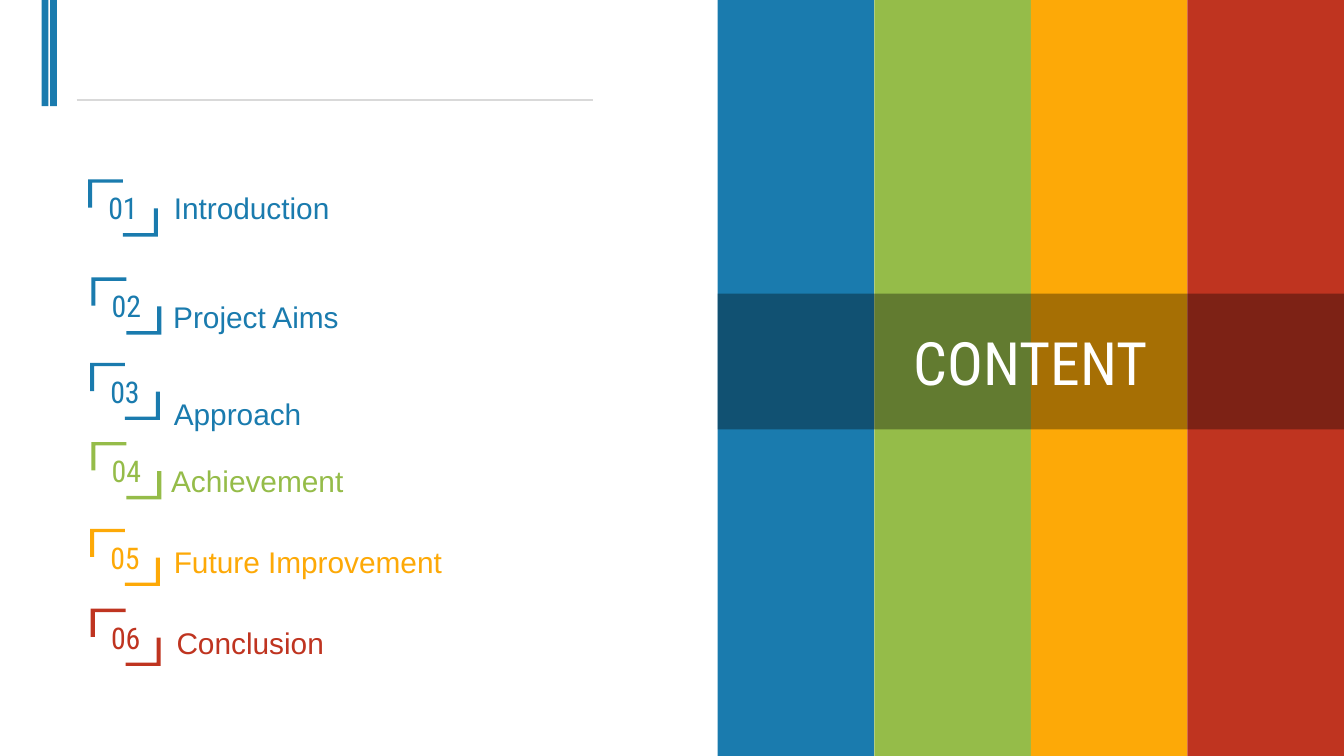
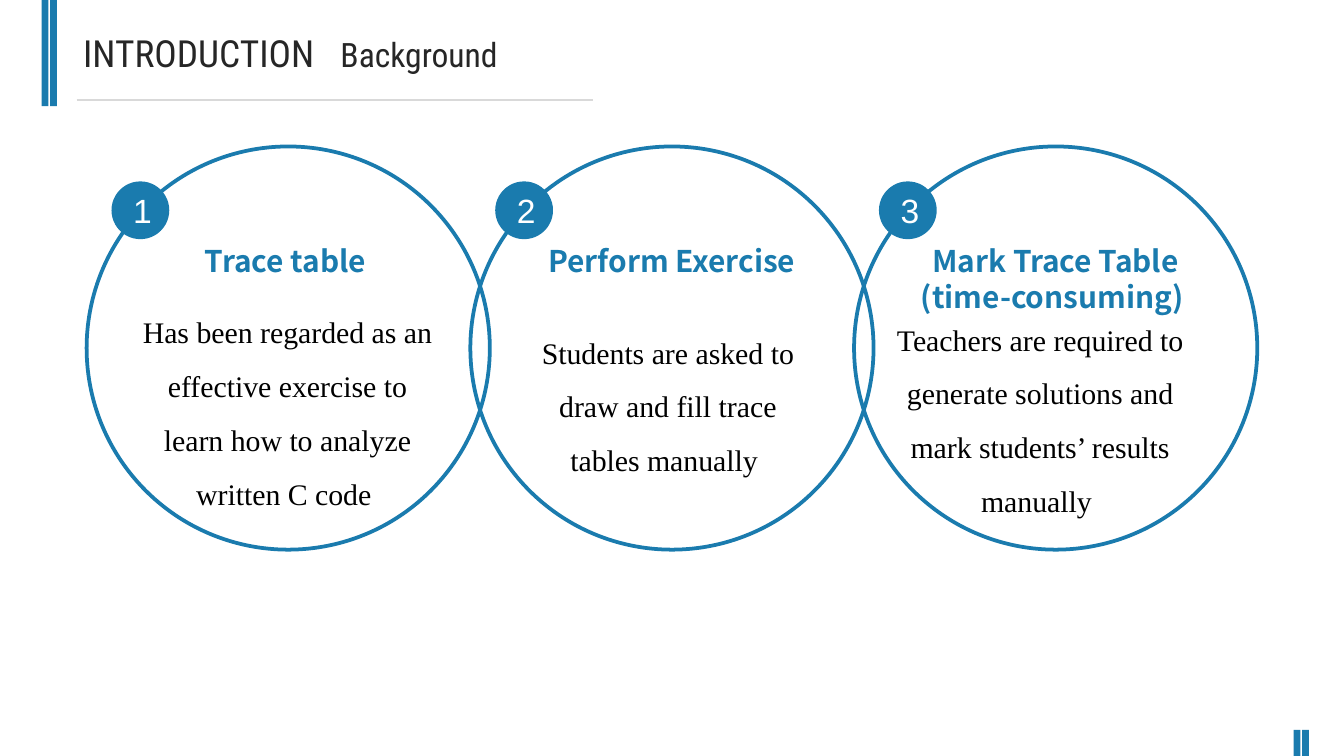
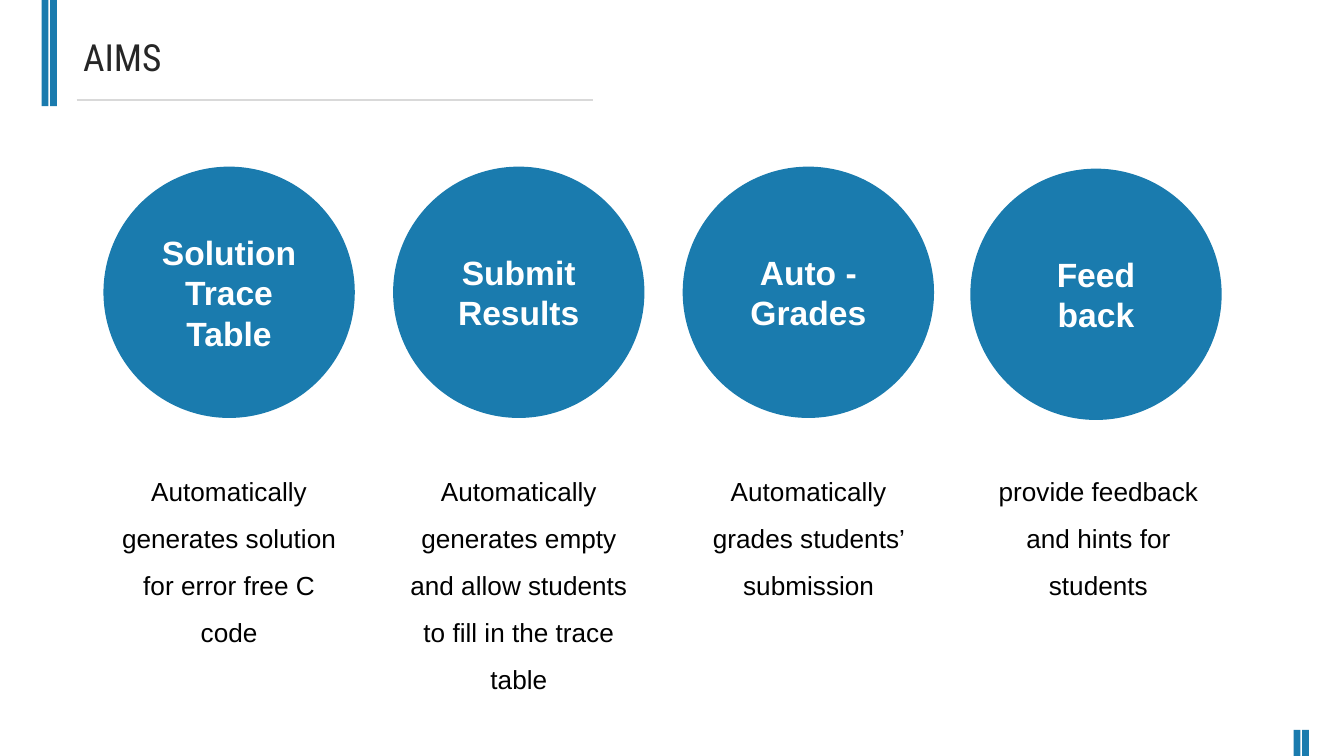
from lxml import etree
from pptx import Presentation
from pptx.dml.color import RGBColor
from pptx.enum.shapes import MSO_CONNECTOR, MSO_SHAPE
from pptx.enum.text import MSO_ANCHOR, MSO_AUTO_SIZE, PP_ALIGN
from pptx.oxml.ns import qn
from pptx.util import Inches, Pt

RECT, OVAL = MSO_SHAPE.RECTANGLE, MSO_SHAPE.OVAL
STRAIGHT = MSO_CONNECTOR.STRAIGHT
LEFT, CENTER = PP_ALIGN.LEFT, PP_ALIGN.CENTER
TOP, MIDDLE = MSO_ANCHOR.TOP, MSO_ANCHOR.MIDDLE
GROW = MSO_AUTO_SIZE.SHAPE_TO_FIT_TEXT

COLUMNS, ROWS = 100, 56.25
BLUE, GREEN, AMBER, RED = "1A7BAE", "95BC49", "FDA907", "BF3420"
WHITE, BLACK, INK, RULE = "FFFFFF", "000000", "262626", "D9D9D9"
SANS, SERIF, HEADING, CONDENSED = "Arial", "Times New Roman", "Noto Sans CJK SC", "Roboto Condensed"


def grid(units):
    return Inches(units / 10)


def rgb(value):
    return RGBColor.from_string(value)


def add_run(paragraph, text, size, font, color, bold=False):
    run = paragraph.add_run()
    run.text = text
    run.font.size = Pt(size)
    run.font.name = font
    run.font.bold = bold
    run.font.color.rgb = rgb(color)


def write(frame, text, size=16, font=SANS, color=BLACK, bold=False,
          align=CENTER, anchor=MIDDLE, spacing=None):
    frame.vertical_anchor = anchor
    for index, line in enumerate(text.split("\n")):
        paragraph = frame.add_paragraph() if index else frame.paragraphs[0]
        paragraph.alignment = align
        if spacing:
            paragraph.line_spacing = spacing
        add_run(paragraph, line, size, font, color, bold)


class Deck:
    def __init__(self):
        self.file = Presentation()
        self.file.slide_width = grid(COLUMNS)
        self.file.slide_height = grid(ROWS)
        self.slide = None

    def new_slide(self, footer=True):
        self.slide = self.file.slides.add_slide(self.file.slide_layouts[6])
        self.double_bar(3.1, 0, 7.9)
        if footer:
            self.double_bar(96.25, 54.3, 1.95)
        self.rule(5.7, 44.1, 7.45)

    def double_bar(self, left, top, height):
        for offset in (0, 0.63):
            self.shape(RECT, left + offset, top, 0.5, height, fill=BLUE)

    def rule(self, left, right, top):
        line = self.slide.shapes.add_connector(STRAIGHT, grid(left), grid(top), grid(right), grid(top))
        line.line.color.rgb = rgb(RULE)
        line.line.width = Pt(0.75)
        etree.SubElement(line.element.spPr, qn("a:effectLst"))

    def paint(self, shape, fill=None, outline=None, opacity=None):
        shape.shadow.inherit = False
        if fill:
            shape.fill.solid()
            shape.fill.fore_color.rgb = rgb(fill)
        else:
            shape.fill.background()
        if outline:
            shape.line.color.rgb = rgb(outline)
            shape.line.width = Pt(2)
        else:
            shape.line.fill.background()
        if opacity:
            tint = shape.element.spPr.find(qn("a:solidFill"))[0]
            etree.SubElement(tint, qn("a:alpha")).set("val", str(opacity * 1000))

    def shape(self, kind, left, top, width, height, text="", fill=None,
              outline=None, opacity=None, **text_format):
        shape = self.slide.shapes.add_shape(kind, grid(left), grid(top), grid(width), grid(height))
        self.paint(shape, fill, outline, opacity)
        if text:
            write(shape.text_frame, text, **text_format)

    def text(self, left, top, width, height, text, wrap=True, **text_format):
        frame = self.slide.shapes.add_textbox(grid(left), grid(top), grid(width), grid(height)).text_frame
        frame.word_wrap = wrap
        frame.auto_size = GROW
        write(frame, text, anchor=TOP, **text_format)
        return frame

    def title(self, top, text, subtitle="", tab=19.15):
        frame = self.text(5.2, top, 42.3, 4.4, text, size=20, font=CONDENSED, color=INK, align=LEFT)
        if subtitle:
            paragraph = frame.paragraphs[0]
            add_run(paragraph, "\t" + subtitle, 18, CONDENSED, INK)
            tabs = etree.SubElement(paragraph._p.get_or_add_pPr(), qn("a:tabLst"))
            etree.SubElement(tabs, qn("a:tab"), pos=str(grid(tab)), algn="l")

    def corner_marker(self, left, top, text, color):
        width, height, arm, leg, across, down = 5.2, 4.25, 2.6, 2.1, 0.3, 0.25
        upper = [(0, 0), (arm, 0), (arm, down), (across, down), (across, leg), (0, leg)]
        lower = [(width - x, height - y) for x, y in upper]
        corners = [[(grid(left + x), grid(top + y)) for x, y in corner] for corner in (upper, lower)]
        builder = self.slide.shapes.build_freeform(*corners[0][0], scale=1.0)
        builder.add_line_segments(corners[0][1:], close=True)
        builder.move_to(*corners[1][0])
        builder.add_line_segments(corners[1][1:], close=True)
        marker = builder.convert_to_shape()
        self.paint(marker, color)
        write(marker.text_frame, text, font=CONDENSED, color=color)


def content_slide(deck):
    deck.new_slide(footer=False)
    chapters = [
        ("Introduction", BLUE, 6.55, 13.35, 11.95, 13.6),
        ("Project Aims", BLUE, 6.8, 20.65, 11.9, 21.7),
        ("Approach", BLUE, 6.7, 27, 11.95, 28.95),
        ("Achievement", GREEN, 6.8, 32.9, 11.75, 33.95),
        ("Future Improvement", AMBER, 6.7, 39.35, 11.95, 40),
        ("Conclusion", RED, 6.75, 45.3, 12.15, 46),
    ]
    for number, (chapter, color, marker_left, marker_top, left, top) in enumerate(chapters, 1):
        deck.text(left, top, 39.8, 3.7, chapter, color=color, align=LEFT)
        deck.corner_marker(marker_left, marker_top, f"{number:02}", color)
    bands_left, band_width = 53.4, 11.65
    for index, color in enumerate((BLUE, GREEN, AMBER, RED)):
        deck.shape(RECT, bands_left + index * band_width, 0, band_width, ROWS, fill=color)
    deck.shape(RECT, bands_left, 21.85, 4 * band_width, 10.1, "CONTENT", fill=BLACK, opacity=34,
               size=32, font=CONDENSED, color=WHITE)


def background_slide(deck):
    deck.new_slide()
    deck.title(1.75, "INTRODUCTION", "Background")
    steps = [
        ("Trace table ", 14, 15, 3.7,
         "Has been regarded as an effective exercise to learn how to analyze written C code ", 9.6, 21.55, 17.2),
        ("Perform Exercise", 39.75, 20.5, 3.7,
         "Students are asked to draw and fill trace tables manually ", 37.9, 23.05, 12.6),
        ("Mark Trace Table\n(time-consuming) ", 67.05, 23, 9.1,
         "Teachers are required to generate solutions and mark students\u2019 results manually ", 65.6, 22.1, 16.7),
    ]
    pitch = 28.55
    for index, (heading, heading_left, heading_width, heading_height,
                body, left, top, height) in enumerate(steps):
        deck.shape(OVAL, 6.45 + index * pitch, 10.9, 30, 30, outline=BLUE)
        deck.text(heading_left, 17.55, heading_width, heading_height, heading, wrap=False,
                  font=HEADING, color=BLUE, bold=True)
        deck.text(left, top, 23.6, height, body, font=SERIF, spacing=1.5)
    for index in range(len(steps)):
        deck.shape(OVAL, 8.3 + index * pitch, 13.5, 4.3, 4.3, str(index + 1), fill=BLUE,
                   size=18, color=WHITE)


def aims_slide(deck):
    deck.new_slide()
    deck.title(2.05, "AIMS")
    aims = [
        ("Solution Trace Table", 7.7, 12.4, "Automatically generates solution for error free C code", 14.7),
        ("Submit Results", 29.25, 12.4,
         "Automatically generates empty and allow students to fill in the trace table", 18.3),
        ("Auto - Grades", 50.8, 12.4, "Automatically grades students\u2019 submission", 11.4),
        ("Feed\nback", 72.2, 12.55, "provide feedback and hints for students", 11.2),
    ]
    for index, (aim, left, top, detail, height) in enumerate(aims):
        deck.shape(OVAL, left, top, 18.7, 18.7, aim, fill=BLUE, size=18, color=WHITE, bold=True)
        deck.text(7.7 + index * 21.56, 33.7, 18.7, height, detail, size=14, spacing=1.5)


deck = Deck()
content_slide(deck)
background_slide(deck)
aims_slide(deck)
deck.file.save("out.pptx")
